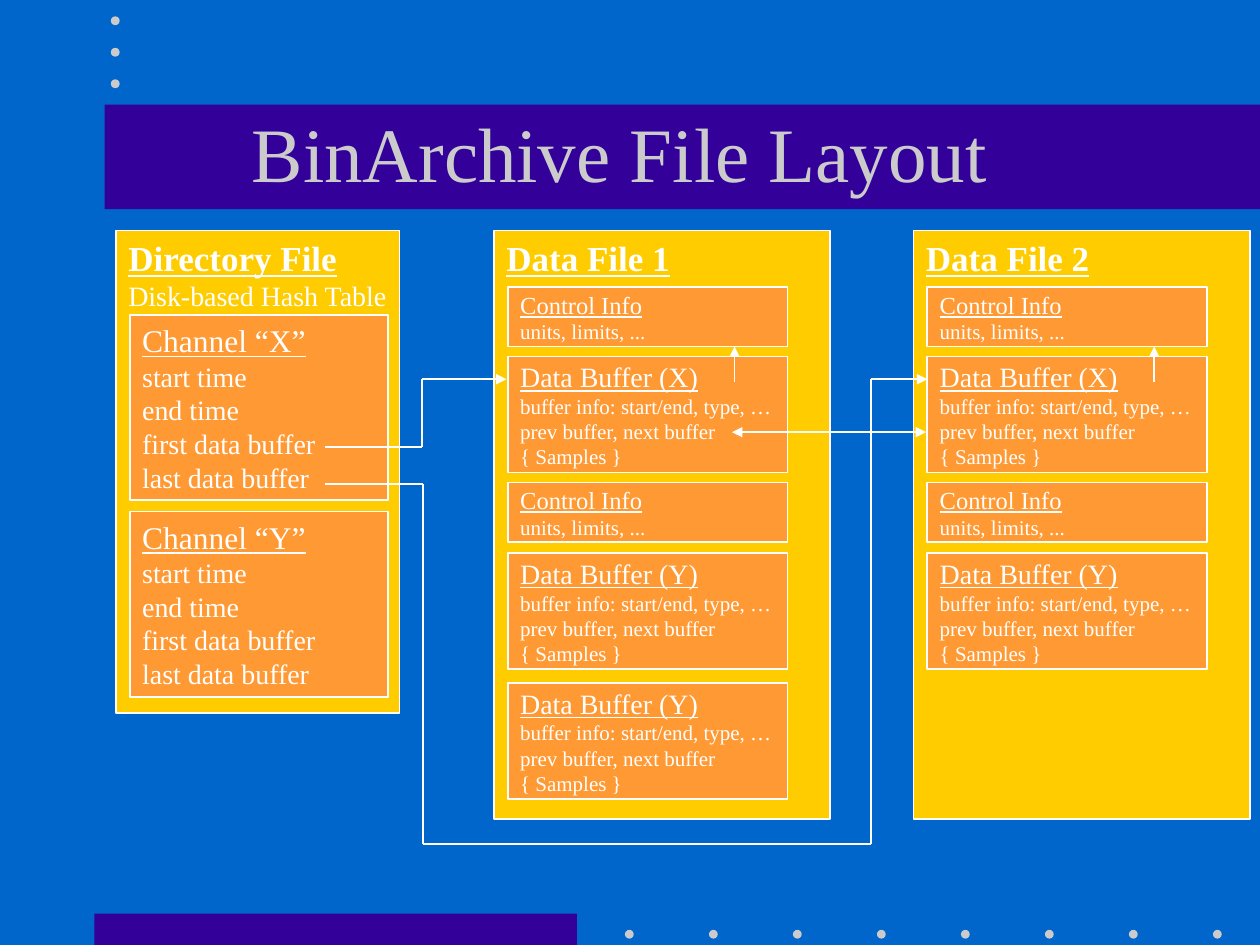
from dataclasses import dataclass

from lxml.etree import SubElement
from pptx import Presentation
from pptx.dml.color import RGBColor
from pptx.enum.shapes import MSO_CONNECTOR, MSO_SHAPE
from pptx.enum.text import MSO_ANCHOR, MSO_AUTO_SIZE, PP_ALIGN
from pptx.oxml.ns import qn
from pptx.util import Inches, Pt


@dataclass(frozen=True)
class Theme:
    font: str = "Times New Roman"
    background: RGBColor = RGBColor(0x00, 0x66, 0xCC)
    band: RGBColor = RGBColor(0x33, 0x00, 0x99)
    dot: RGBColor = RGBColor(0xCB, 0xCB, 0xCB)
    file: RGBColor = RGBColor(0xFF, 0xCC, 0x00)
    record: RGBColor = RGBColor(0xFF, 0x99, 0x33)
    white: RGBColor = RGBColor(0xFF, 0xFF, 0xFF)
    title: int = 44
    heading: int = 20
    channel: int = 18
    body: int = 16
    control: int = 14
    small: int = 12
    line: int = 1


T = Theme()
prs = Presentation()
prs.slide_width, prs.slide_height = Inches(10), Inches(7.5)
s = prs.slides.add_slide(prs.slide_layouts[5])
s.background.fill.solid()
s.background.fill.fore_color.rgb = T.background


def add_box(x, y, w, h, fill, lines=(), anchor=MSO_ANCHOR.MIDDLE,
            shape=MSO_SHAPE.RECTANGLE, bold=False, one_paragraph=False):
    """Add a filled shape; lines are (text, size), the first underlined.

    Shapes with text get a white outline.
    """
    sp = s.shapes.add_shape(shape, Inches(x), Inches(y), Inches(w), Inches(h))
    sp.shadow.inherit = False
    sp.fill.solid()
    sp.fill.fore_color.rgb = fill
    if not lines:
        sp.line.fill.background()
        return
    sp.line.color.rgb = T.white
    sp.line.width = Pt(T.line)
    tf = sp.text_frame
    tf.word_wrap = False
    tf.vertical_anchor = anchor
    p = tf.paragraphs[0]
    for i, (text, size) in enumerate(lines):
        if i and one_paragraph:
            p.add_line_break()
        elif i:
            p = tf.add_paragraph()
        p.alignment = PP_ALIGN.LEFT
        r = p.add_run()
        r.text = text
        r.font.name = T.font
        r.font.size = Pt(size)
        r.font.color.rgb = T.white
        r.font.underline = i == 0
        r.font.bold = bold and i == 0


def add_line(x1, y1, x2, y2, *arrow_ends):
    c = s.shapes.add_connector(MSO_CONNECTOR.STRAIGHT, Inches(x1), Inches(y1),
                               Inches(x2), Inches(y2))
    c.line.color.rgb = T.white
    c.line.width = Pt(T.line)
    ln = c.line._get_or_add_ln()
    for end in arrow_ends:
        SubElement(ln, qn(f"a:{end}"), type="triangle")
    SubElement(ln.getparent(), qn("a:effectLst"))


# Bands and dots
add_box(0.75, 7.25, 3.83, 0.25, T.band)
add_box(0.83, 0.83, 9.17, 0.83, T.band)
dots = [(4.96 + i * 2 / 3, 7.38) for i in range(8)]
dots += [(0.88, 0.13 + i * 0.25) for i in range(3)]
for x, y in dots:
    add_box(x, y, 0.07, 0.07, T.dot, shape=MSO_SHAPE.OVAL)

# Title, in front of its band
title = s.shapes.title
title.element.getparent().append(title.element)
title.left, title.top = Inches(0.67), Inches(0.58)
title.width, title.height = Inches(8.5), Inches(1.25)
tf = title.text_frame
tf.auto_size = MSO_AUTO_SIZE.NONE
tf.vertical_anchor = MSO_ANCHOR.MIDDLE
p = tf.paragraphs[0]
p.alignment = PP_ALIGN.CENTER
r = p.add_run()
r.text = "BinArchive File Layout"
r.font.name = T.font
r.font.size = Pt(T.title)
r.font.color.rgb = T.dot

# Directory file
add_box(0.92, 1.83, 2.25, 3.83, T.file,
        [("Directory File", T.heading), ("Disk-based Hash Table", T.body)],
        anchor=MSO_ANCHOR.TOP, bold=True)
fields = ["start time", "end time", "first data buffer", "last data buffer"]
for name, y in [("X", 2.5), ("Y", 4.06)]:
    add_box(1.03, y, 2.05, 1.47, T.record,
            [(f"Channel “{name}”", T.channel)] + [(f, T.body) for f in fields])

# Data files
buffer_info = ["buffer info: start/end, type, …", "prev buffer, next buffer",
               "{ Samples }"]
data_files = [
    ("Data File 1", 3.92, [("X", 2.83), ("Y", 4.39), ("Y", 5.42)]),
    ("Data File 2", 7.25, [("X", 2.83), ("Y", 4.39)]),
]
for name, x, buffers in data_files:
    add_box(x, 1.83, 2.67, 4.67, T.file, [(name, T.heading)],
            anchor=MSO_ANCHOR.TOP, bold=True)
    for y in (2.28, 3.83):
        add_box(x + 0.11, y, 2.22, 0.47, T.record,
                [("Control Info", T.control), ("units, limits, ...", T.small)],
                one_paragraph=True)
    for channel, y in buffers:
        add_box(x + 0.11, y, 2.22, 0.92, T.record,
                [(f"Data Buffer ({channel})", T.body)]
                + [(info, T.small) for info in buffer_info])
    # Buffer to its control info
    add_line(x + 1.91, 3.03, x + 1.91, 2.75, "tailEnd")

# First data buffer of channel X
add_line(2.58, 3.55, 3.35, 3.55)
add_line(3.35, 3.55, 3.35, 3.01)
add_line(3.35, 3.01, 4.02, 3.01, "tailEnd")

# Last data buffer of channel X
add_line(2.58, 3.84, 3.36, 3.84)
add_line(3.36, 3.84, 3.36, 6.7)
add_line(3.36, 6.7, 6.91, 6.7)
add_line(6.91, 6.7, 6.91, 3.01)
add_line(6.91, 3.01, 7.36, 3.01, "tailEnd")

# Previous and next buffer
add_line(5.81, 3.43, 7.35, 3.43, "headEnd", "tailEnd")

prs.save("out.pptx")
